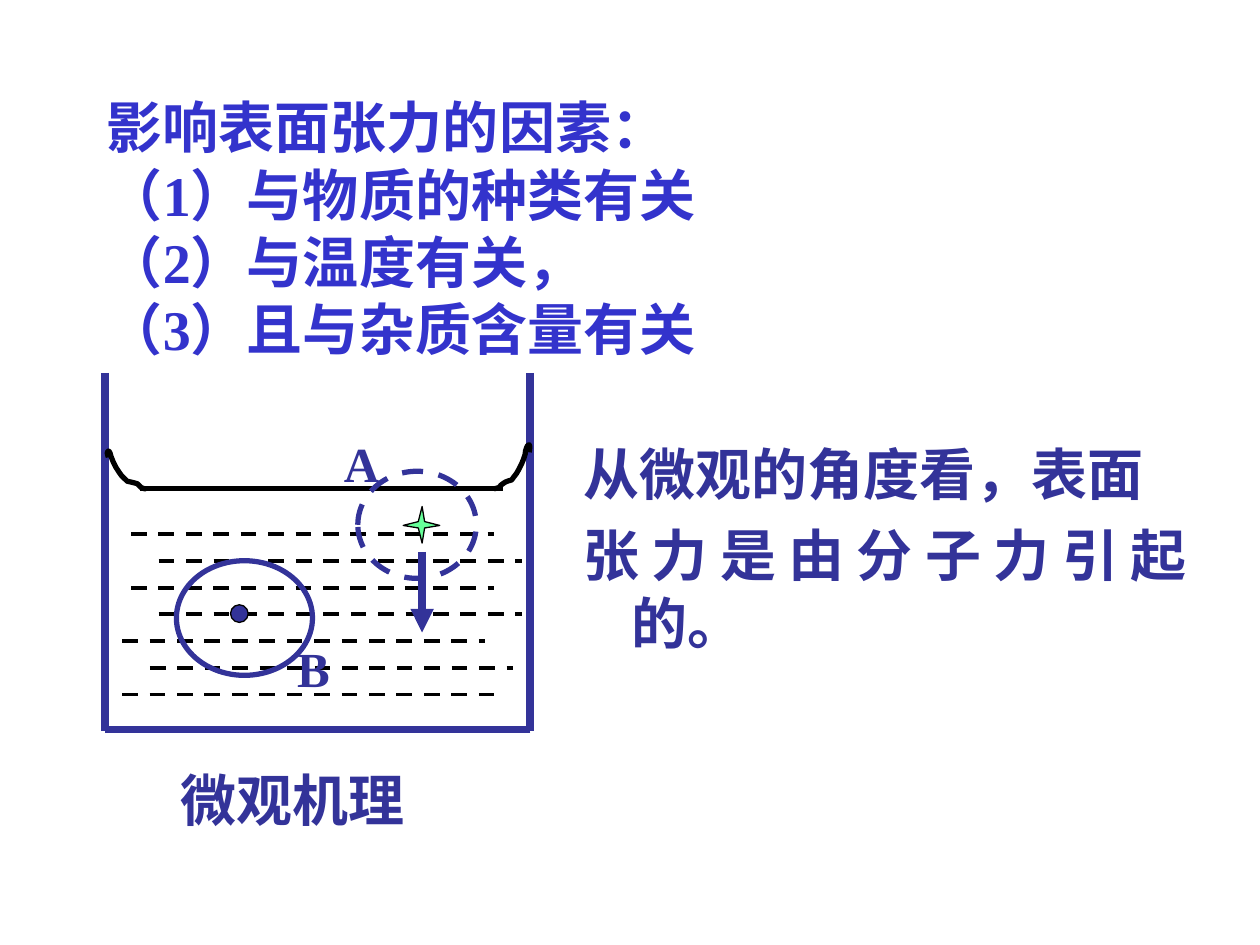
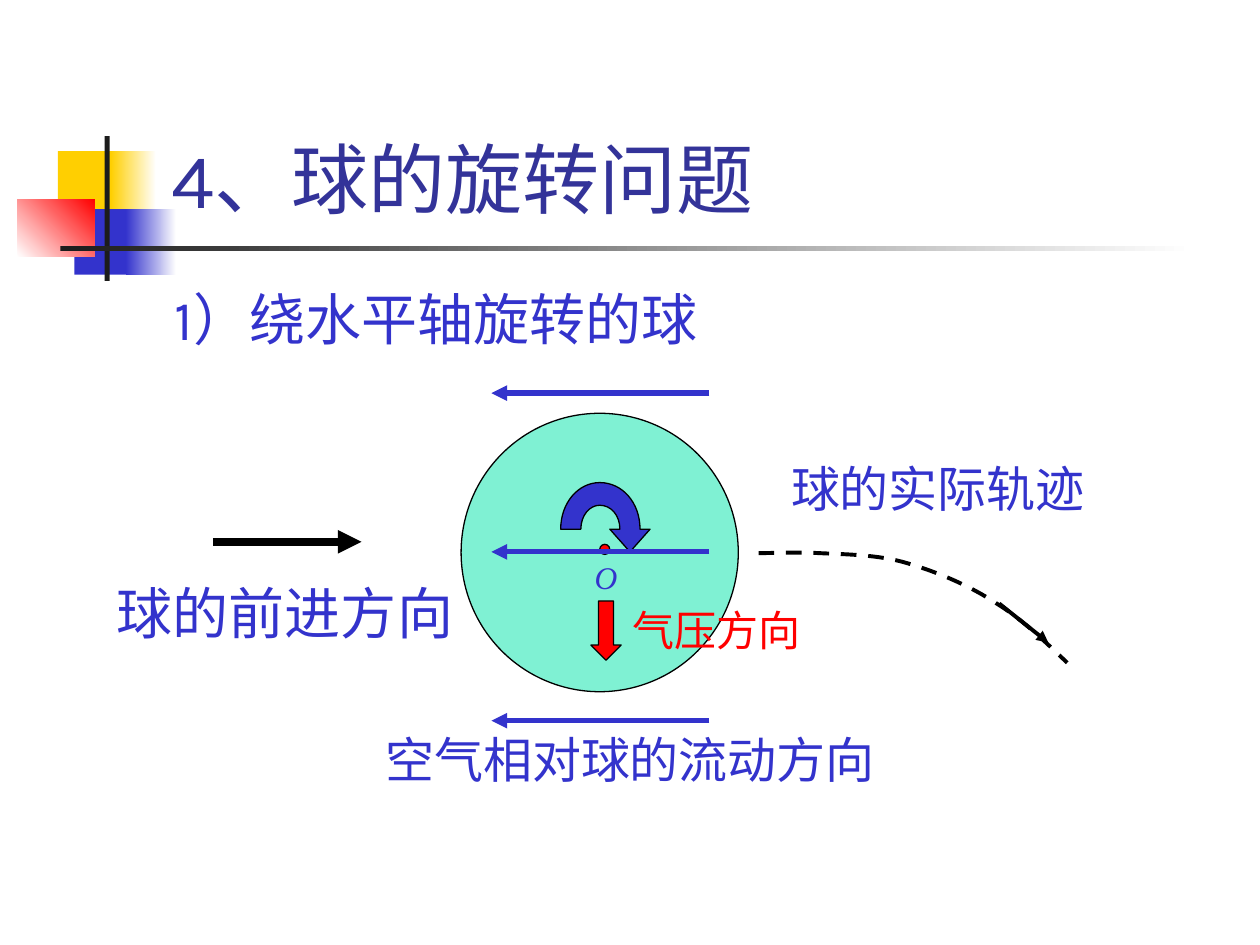
from lxml import etree
from pptx import Presentation
from pptx.dml.color import RGBColor
from pptx.enum.dml import MSO_LINE_DASH_STYLE as DASH
from pptx.enum.lang import MSO_LANGUAGE_ID as LANGUAGE
from pptx.enum.shapes import MSO_CONNECTOR as CONNECTOR, MSO_SHAPE as SHAPE
from pptx.enum.text import MSO_ANCHOR as ANCHOR, PP_ALIGN as ALIGN
from pptx.oxml.ns import qn
from pptx.util import Pt

EMU_PER_PX = 9144  # 100 px to the inch
BLUE, NAVY, BLACK, WHITE = "3333CC", "333399", "000000", "FFFFFF"
RED, YELLOW, CHARCOAL = "FF0000", "FFCF01", "1C1C1C"
AQUA, MINT = "00E4A8", "66FF99"
SANS, CJK, SERIF = "Karla", "Noto Sans CJK SC", "Times New Roman"


def px(length):
    return round(length * EMU_PER_PX)


def color(hex_string):
    return RGBColor.from_string(hex_string)


def bend_sections(shape, sections):
    """Turn the straight steps of each three-point section into one Bezier curve."""
    steps = iter(list(shape._element.iter(qn("a:lnTo"))))
    for section in sections:
        section_steps = [next(steps) for _ in section]
        if len(section) == 3:
            first = section_steps[0]
            first.addprevious(curve := etree.Element(qn("a:cubicBezTo")))
            for step in section_steps:
                curve.append(step[0])
                step.getparent().remove(step)


class Region:
    """Draws on a slide, measuring from its own left top corner."""

    def __init__(self, slide, left=0, top=0):
        self.shapes, self.left, self.top = slide.shapes, left, top

    def place(self, x, y):
        return px(self.left + x), px(self.top + y)

    def style(self, shape, fill=None, line=None, weight=0.75, dash=None):
        shape.shadow.inherit = False
        if fill:
            shape.fill.solid()
            shape.fill.fore_color.rgb = color(fill)
        else:
            shape.fill.background()
        if line:
            self.style_line(shape.line, line, weight, dash)
        else:
            shape.line.fill.background()
        return shape

    def style_line(self, line, line_color, weight, dash):
        line.color.rgb = color(line_color)
        line.width = Pt(weight)
        if dash:
            line.dash_style = dash

    def shape(self, kind, box, **style):
        x, y, width, height = box
        shape = self.shapes.add_shape(kind, *self.place(x, y), px(width), px(height))
        return self.style(shape, **style)

    def gradient(self, box, start, end, angle=0):
        shape = self.shape(SHAPE.RECTANGLE, box)
        shape.fill.gradient()
        shape.fill.gradient_angle = angle
        for stop, stop_color in zip(shape.fill.gradient_stops, (start, end)):
            stop.color.rgb = color(stop_color)

    def outline(self, start, sections, close=False, **style):
        """Sections hold one point for a line, or three for a Bezier curve."""
        points = [self.place(*point) for section in sections for point in section]
        builder = self.shapes.build_freeform(*self.place(*start), scale=1.0)
        builder.add_line_segments(points, close=close)
        shape = builder.convert_to_shape()
        bend_sections(shape, sections)
        return self.style(shape, **style)

    def line(self, start, end, line_color, weight, dash=None, arrow=False):
        connector = self.shapes.add_connector(
            CONNECTOR.STRAIGHT, *self.place(*start), *self.place(*end))
        self.style_line(connector.line, line_color, weight, dash)
        if arrow:
            line_element = connector.line._get_or_add_ln()
            etree.SubElement(line_element, qn("a:tailEnd"), type="triangle")
        etree.SubElement(connector._element.spPr, qn("a:effectLst"))

    def text(self, box, paragraphs, size, text_color, font=SANS, bold=None, italic=None,
             align=None, anchor=ANCHOR.TOP, wrap=True, hanging=0, gap=0):
        """Each paragraph is a list of lines, each line one run."""
        x, y, width, height = box
        frame = self.shapes.add_textbox(*self.place(x, y), px(width), px(height)).text_frame
        frame.word_wrap, frame.vertical_anchor = wrap, anchor
        for number, lines in enumerate(paragraphs):
            paragraph = frame.add_paragraph() if number else frame.paragraphs[0]
            paragraph.alignment = align
            if number:
                paragraph.space_before = Pt(gap)
            properties = paragraph._p.get_or_add_pPr()
            properties.set("hangingPunct", "0")
            if hanging:
                properties.set("marL", str(px(hanging)))
                properties.set("indent", str(-px(hanging)))
            for line_number, line in enumerate(lines):
                if line_number:
                    paragraph.add_line_break()
                run = paragraph.add_run()
                run.text = line
                run.font.name, run.font.size = font, Pt(size)
                run.font.bold, run.font.italic = bold, italic
                run.font.color.rgb = color(text_color)
                run.font.language_id = LANGUAGE.SIMPLIFIED_CHINESE
                etree.SubElement(run._r.get_or_add_rPr(), qn("a:ea"), typeface=SANS)


def draw_beaker(slide, left, top, width=338, height=283):
    beaker = Region(slide, left, top)
    for x in (0, width):
        beaker.line((x, 0), (x, height + 1), NAVY, 4.5)
    beaker.line((width, height), (0, height), NAVY, 4.5)

    beaker.line((316, 92), (28, 92), BLACK, 3)
    left_meniscus = [
        ((32, 92), (31, 92), (29, 91)), ((28, 90), (27, 89), (26, 88)),
        ((23, 87), (18, 86), (18, 86)), ((12, 80), (15, 84), (9, 75)),
        ((8, 73), (7, 71), (7, 71)), ((6, 69), (6, 68), (5, 66)),
        ((5, 65), (4, 62), (3, 62)), ((1, 63), (3, 66), (3, 67))]
    right_meniscus = [
        ((310, 92), (312, 91), (313, 91)), ((314, 90), (315, 88), (316, 88)),
        ((318, 86), (323, 85), (323, 85)), ((328, 78), (326, 82), (331, 72)),
        ((332, 70), (333, 67), (333, 67)), ((334, 65), (334, 63), (334, 62)),
        ((335, 60), (335, 57), (337, 57)), ((338, 58), (337, 61), (337, 63))]
    beaker.outline((33, 92), left_meniscus, line=BLACK, weight=3)
    beaker.outline((309, 92), right_meniscus, line=BLACK, weight=3)

    for row, x in enumerate((21, 43, 21, 43, 14, 36, 14)):
        y = 128 + 21.2 * row
        length = 303 if row == 6 else 288
        beaker.line((x, y), (x + length, y), BLACK, 2.25, dash=DASH.DASH)

    label = dict(size=28, text_color=NAVY, font=SERIF, bold=True)
    beaker.shape(SHAPE.OVAL, (57, 149, 108, 91), line=NAVY, weight=3)
    beaker.text((143, 206, 43, 57), [["B"]], **label)
    beaker.shape(SHAPE.OVAL, (100, 184, 14, 14), fill=NAVY, line=BLACK)
    beaker.shape(SHAPE.OVAL, (201, 78, 94, 85), line=NAVY, weight=3, dash=DASH.DASH)
    star = [((249, 118),), ((252, 106),), ((254, 118),), ((266, 121),),
            ((254, 123),), ((252, 135),), ((249, 123),)]
    beaker.outline((237, 121), star, close=True, fill=MINT, line=BLACK)
    beaker.text((180, 43, 72, 57), [["A"]], **label)
    beaker.line((252, 142), (252, 206), NAVY, 4.5, arrow=True)


def draw_title_ornament(slide, left, top):
    ornament = Region(slide, left, top)
    ornament.shape(SHAPE.RECTANGLE, (32, 12, 48, 52), fill=YELLOW)
    ornament.gradient((74, 12, 36, 52), YELLOW, WHITE)
    ornament.shape(SHAPE.RECTANGLE, (45, 58, 46, 52), fill=BLUE)
    ornament.gradient((86, 58, 40, 52), BLUE, WHITE)
    ornament.gradient((0, 50, 61, 46), WHITE, RED, angle=45)
    ornament.shape(SHAPE.RECTANGLE, (69, 0, 4, 115), fill=CHARCOAL)
    ornament.gradient((34, 87, 900, 4), CHARCOAL, WHITE)


def draw_spinning_ball(slide, left, top):
    ball = Region(slide, left, top)
    body = ball.shape(SHAPE.OVAL, (0, 0, 220, 221), fill=AQUA, line=BLACK)
    fill_color = body._element.spPr.find(qn("a:solidFill"))[0]
    etree.SubElement(fill_color, qn("a:alpha"), val="50000")
    ball.shape(SHAPE.OVAL, (110, 104, 8, 8), fill=RED, line=BLACK)

    spin_arrow = [
        ((126, 81), (119, 73), (110, 73)), ((102, 73), (95, 81), (95, 92)), ((79, 92),),
        ((79, 71), (93, 55), (110, 55)), ((128, 55), (142, 71), (142, 92)),
        ((150, 92),), ((134, 110),), ((118, 92),)]
    ball.outline((126, 92), spin_arrow, close=True, fill=BLUE, line=BLACK)

    ball.line((-197, 102), (-79, 102), BLACK, 4.5, arrow=True)
    ball.text((-283, 126, 287, 64), [["球的前进方向"]], 32, BLUE, wrap=False)
    for y in (244, 110, -16):
        ball.line((197, y), (24, y), BLUE, 3, arrow=True)
    ball.text((-70, 246, 408, 57), [["空气相对球的流动方向"]], 28, BLUE, wrap=False)
    ball.text((96, 110, 38, 40), [["O"]], 18, BLUE, font=SERIF, italic=True, wrap=False)
    ball.shape(SHAPE.DOWN_ARROW, (103, 149, 24, 47), fill=RED, line=BLACK)
    ball.text((126, 147, 153, 50), [["气压方向"]], 24, RED, wrap=False)


def draw_trajectory(slide, left, top):
    trajectory = Region(slide, left, top)
    fall = [
        ((14, 80), (28, 79), (48, 80)), ((67, 81), (95, 81), (118, 88)),
        ((142, 95), (168, 106), (189, 120)), ((210, 133), (227, 150), (245, 167))]
    trajectory.outline((0, 80), fall, line=BLACK, weight=2.25, dash=DASH.DASH)
    trajectory.line((191, 120), (230, 151), BLACK, 2.25, arrow=True)
    trajectory.text((16, 0, 253, 57), [["球的实际轨迹"]], 28, BLUE, wrap=False)


def build_surface_tension_slide(slide):
    page = Region(slide)
    factors = ["影响表面张力的因素：", "（1）与物质的种类有关",
               "（2）与温度有关，", "（3）且与杂质含量有关"]
    page.text((75, 52, 875, 240), [factors], 32, BLUE, font=SERIF, bold=True,
              anchor=ANCHOR.BOTTOM)
    explanation = [["从微观的角度看，表面"], ["张力是由分子力引起的。"]]
    page.text((453, 344, 499, 176), explanation, 32, NAVY, font=CJK, bold=True,
              align=ALIGN.JUSTIFY, hanging=38, gap=8)
    draw_beaker(slide, 83, 296)
    page.text((106, 603, 252, 64), [["微观机理"]], 32, NAVY, font=SERIF, bold=True,
              align=ALIGN.CENTER)


def build_spinning_ball_slide(slide):
    draw_title_ornament(slide, 14, 108)
    page = Region(slide)
    page.text((126, 23, 852, 160), [["4、球的旋转问题"]], 44, NAVY, anchor=ANCHOR.BOTTOM)
    page.text((129, 221, 850, 450), [["1）绕水平轴旋转的球"]], 32, BLUE, hanging=38)
    draw_spinning_ball(slide, 366, 328)
    draw_trajectory(slide, 602, 359)


def main():
    presentation = Presentation()
    presentation.slide_width, presentation.slide_height = px(1000), px(750)
    blank = presentation.slide_layouts[6]
    for build in (build_surface_tension_slide, build_spinning_ball_slide):
        build(presentation.slides.add_slide(blank))
    presentation.save("out.pptx")


if __name__ == "__main__":
    main()
